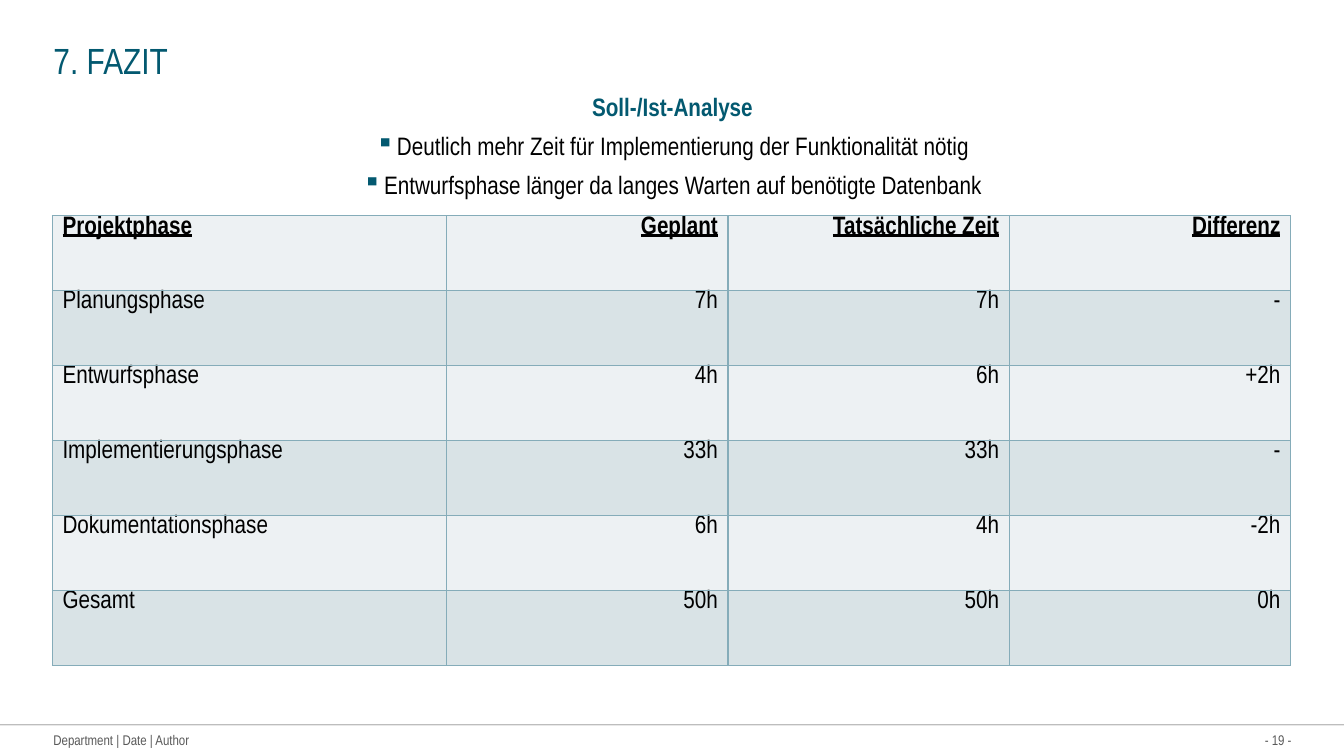
import dataclasses

import lxml.etree
import pptx
import pptx.dml.color
import pptx.enum.shapes
import pptx.enum.text
import pptx.oxml.ns
import pptx.util

Inches = pptx.util.Inches
Pt = pptx.util.Pt
Align = pptx.enum.text.PP_ALIGN
Anchor = pptx.enum.text.MSO_ANCHOR
qn = pptx.oxml.ns.qn


@dataclasses.dataclass(frozen=True)
class Theme:
    font: str = "Arial Narrow"
    accent: str = "035970"
    ink: str = "000000"
    muted: str = "595959"
    border: str = "85ACB9"
    bands: tuple = ("EDF1F3", "D9E3E6")
    title_size: int = 26
    body_size: int = 18
    footer_size: int = 10


THEME = Theme()
LEFT, CONTENT_WIDTH = 0.53, 12.28
BULLET_INDENT = 0.21
PHASE_WIDTH, HOURS_WIDTH = 3.91, 2.79

BULLETS = (
    "Deutlich mehr Zeit für Implementierung der Funktionalität nötig",
    "Entwurfsphase länger da langes Warten auf benötigte Datenbank",
)
PHASES = (
    ("Projektphase", "Geplant", "Tatsächliche Zeit", "Differenz"),
    ("Planungsphase", "7h", "7h", "-"),
    ("Entwurfsphase", "4h", "6h", "+2h"),
    ("Implementierungsphase", "33h", "33h", "-"),
    ("Dokumentationsphase", "6h", "4h", "-2h"),
    ("Gesamt", "50h", "50h", "0h"),
)


def rgb(value):
    return pptx.dml.color.RGBColor.from_string(value)


def add_xml(parent, tag, **attributes):
    return lxml.etree.SubElement(parent, qn(tag), attributes)


def style(paragraph, size, color, align=Align.LEFT, bold=False, underline=False):
    paragraph.alignment = align
    for run in paragraph.runs:
        run.font.name = THEME.font
        run.font.size = Pt(size)
        run.font.color.rgb = rgb(color)
        run.font.bold = bold
        run.font.underline = underline


def add_text_frame(slide, left, top, width, height, text, anchor=Anchor.TOP, wrap=True):
    box = slide.shapes.add_textbox(Inches(left), Inches(top), Inches(width), Inches(height))
    frame = box.text_frame
    frame.margin_left = frame.margin_right = frame.margin_top = frame.margin_bottom = 0
    frame.vertical_anchor = anchor
    frame.word_wrap = wrap
    frame.text = text
    return frame


def add_title(slide, text):
    frame = add_text_frame(slide, LEFT, 0.38, CONTENT_WIDTH, 0.44, text)
    style(frame.paragraphs[0], THEME.title_size, THEME.accent)


def add_bullet(paragraph):
    properties = paragraph._p.get_or_add_pPr()
    properties.set("marL", str(Inches(BULLET_INDENT)))
    properties.set("indent", str(-Inches(BULLET_INDENT)))
    add_xml(add_xml(properties, "a:buClr"), "a:srgbClr", val=THEME.accent)
    add_xml(properties, "a:buChar", char="▪")


def add_analysis(slide, heading, bullets):
    frame = add_text_frame(slide, LEFT, 0.91, CONTENT_WIDTH, 5.35, "\n".join((heading, *bullets)))
    for paragraph in frame.paragraphs:
        paragraph.space_after = Pt(6)
    first, *rest = frame.paragraphs
    style(first, THEME.body_size, THEME.accent, Align.CENTER, bold=True)
    for paragraph in rest:
        style(paragraph, THEME.body_size, THEME.ink, Align.CENTER)
        add_bullet(paragraph)


def add_borders(cell):
    properties = cell._tc.get_or_add_tcPr()
    for side in ("a:lnL", "a:lnR", "a:lnT", "a:lnB"):
        edge = add_xml(properties, side, w=str(Pt(1)))
        add_xml(add_xml(edge, "a:solidFill"), "a:srgbClr", val=THEME.border)


def fill_cell(cell, text, band, align, header):
    add_borders(cell)
    cell.fill.solid()
    cell.fill.fore_color.rgb = rgb(band)
    cell.margin_top = cell.margin_bottom = 0
    cell.text = text
    style(cell.text_frame.paragraphs[0], THEME.body_size, THEME.ink, align, header, header)


def add_phase_table(slide, rows):
    table = slide.shapes.add_table(
        len(rows), len(rows[0]), Inches(0.52), Inches(2.14), Inches(CONTENT_WIDTH), Inches(4.46)
    ).table
    for index, column in enumerate(table.columns):
        column.width = Inches(HOURS_WIDTH if index else PHASE_WIDTH)
    for r, row in enumerate(rows):
        for c, text in enumerate(row):
            align = Align.RIGHT if c else Align.LEFT
            fill_cell(table.cell(r, c), text, THEME.bands[r % 2], align, header=r == 0)


def add_footer_rule(slide):
    y = Inches(7.19)
    rule = slide.shapes.add_connector(
        pptx.enum.shapes.MSO_CONNECTOR.STRAIGHT, 0, y, Inches(13.33), y
    )
    rule.line.width = Pt(1)
    rule.line.color.rgb = rgb(THEME.ink)
    properties = rule._element.spPr
    add_xml(properties.find(".//" + qn("a:srgbClr")), "a:alpha", val="25000")
    add_xml(properties, "a:effectLst")


def add_footer_text(slide, left, width, text, align):
    frame = add_text_frame(slide, left, 7.26, width, 0.17, text, Anchor.MIDDLE, wrap=False)
    style(frame.paragraphs[0], THEME.footer_size, THEME.muted, align)


def main():
    deck = pptx.Presentation()
    deck.slide_width, deck.slide_height = Inches(13.33), Inches(7.5)
    slide = deck.slides.add_slide(deck.slide_layouts[6])
    add_footer_rule(slide)
    add_footer_text(slide, 12.4, 0.41, "- 19 -", Align.RIGHT)
    add_footer_text(slide, LEFT, 1.5, "Department | Date | Author", Align.LEFT)
    add_analysis(slide, "Soll-/Ist-Analyse", BULLETS)
    add_title(slide, "7. FAZIT")
    add_phase_table(slide, PHASES)
    deck.save("out.pptx")


if __name__ == "__main__":
    main()
